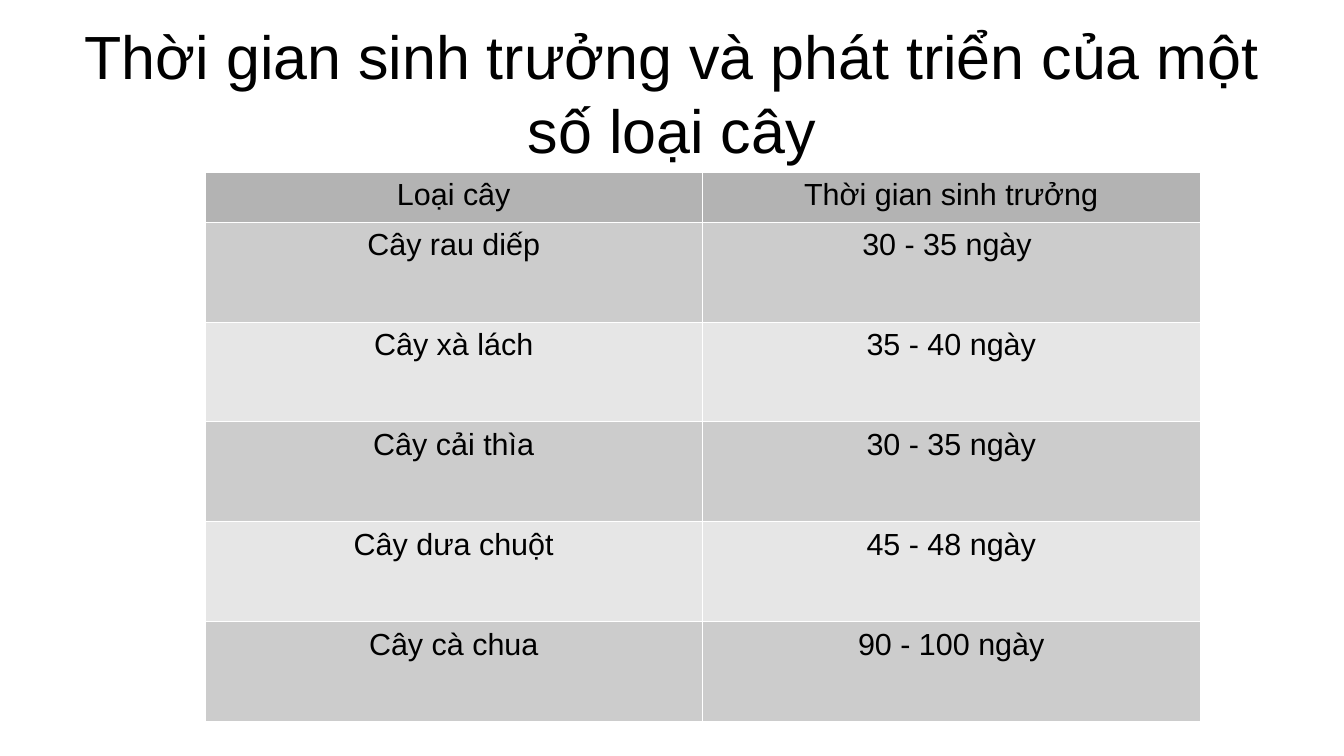
import dataclasses

import lxml.etree
import pptx
import pptx.dml.color
import pptx.enum.text
import pptx.oxml.ns
import pptx.util

Cm = pptx.util.Cm
Pt = pptx.util.Pt
RGB = pptx.dml.color.RGBColor.from_string
CENTER = pptx.enum.text.PP_ALIGN.CENTER
MIDDLE = pptx.enum.text.MSO_ANCHOR.MIDDLE
TOP = pptx.enum.text.MSO_ANCHOR.TOP
qn = pptx.oxml.ns.qn


@dataclasses.dataclass(frozen=True)
class Theme:
    font: str = "Arial"
    text: str = "000000"
    border: str = "FFFFFF"
    header: str = "B3B3B3"
    bands: tuple = ("CCCCCC", "E6E6E6")
    title_size: int = 36
    cell_size: int = 18
    border_width: float = 0.06


@dataclasses.dataclass(frozen=True)
class Box:
    left: float
    top: float
    width: float
    height: float

    def lengths(self):
        return [Cm(value) for value in dataclasses.astuple(self)]


THEME = Theme()
TITLE = "Thời gian sinh trưởng và phát triển của một số loại cây"
GROWTH_TIMES = [
    ("Loại cây", "Thời gian sinh trưởng"),
    ("Cây rau diếp", "30 - 35 ngày "),
    ("Cây xà lách", "35 - 40 ngày"),
    ("Cây cải thìa", "30 - 35 ngày"),
    ("Cây dưa chuột", "45 - 48 ngày"),
    ("Cây cà chua", "90 - 100 ngày"),
]


def set_all(target, values):
    for name, value in values.items():
        setattr(target, name, value)


def write(frame, text, size):
    """Put one centred paragraph into a text frame."""
    para = frame.paragraphs[0]
    para.alignment = CENTER
    span = para.add_run()
    span.text = text
    set_all(span.font, {"name": THEME.font, "size": Pt(size), "bold": False})
    span.font.color.rgb = RGB(THEME.text)


def add_borders(cell):
    """Draw the same thin line on all four sides, ahead of the cell fill."""
    properties = cell._tc.get_or_add_tcPr()
    for index, side in enumerate(("a:lnL", "a:lnR", "a:lnT", "a:lnB")):
        line = lxml.etree.Element(qn(side), w=str(Pt(THEME.border_width)))
        fill = lxml.etree.SubElement(line, qn("a:solidFill"))
        lxml.etree.SubElement(fill, qn("a:srgbClr"), val=THEME.border)
        properties.insert(index, line)


def place_title(page, box):
    title = page.shapes.title
    left, top, width, height = box.lengths()
    set_all(title, {"left": left, "top": top, "width": width, "height": height})
    set_all(title.text_frame, {
        "margin_left": 0, "margin_right": 0, "margin_top": 0, "margin_bottom": 0,
        "word_wrap": True, "vertical_anchor": MIDDLE,
        "auto_size": pptx.enum.text.MSO_AUTO_SIZE.NONE,
    })
    write(title.text_frame, TITLE, THEME.title_size)


def place_growth_table(page, box):
    columns = len(GROWTH_TIMES[0])
    table = page.shapes.add_table(len(GROWTH_TIMES), columns, *box.lengths()).table
    for column in table.columns:
        column.width = Cm(box.width / columns)

    # The header is half as high as a plant row
    header_height = box.height / (2 * len(GROWTH_TIMES) - 1)
    for row_index, texts in enumerate(GROWTH_TIMES):
        is_header = row_index == 0
        table.rows[row_index].height = Cm(header_height * (1 if is_header else 2))
        colour = THEME.header if is_header else THEME.bands[(row_index - 1) % 2]
        for column_index, text in enumerate(texts):
            cell = table.cell(row_index, column_index)
            set_all(cell, {
                "margin_left": Cm(0.25), "margin_right": Cm(0.25),
                "margin_top": Cm(0.13), "margin_bottom": Cm(0.13),
                "vertical_anchor": TOP,
            })
            cell.fill.solid()
            cell.fill.fore_color.rgb = RGB(colour)
            add_borders(cell)
            write(cell.text_frame, text, THEME.cell_size)


deck = pptx.Presentation()
set_all(deck, {"slide_width": Cm(28), "slide_height": Cm(15.75)})
page = deck.slides.add_slide(deck.slide_layouts.get_by_name("Title Only"))
place_title(page, Box(1.4, 0.5, 25.2, 2.84))
place_growth_table(page, Box(4.27, 3.58, 20.73, 11.44))
deck.save("out.pptx")
